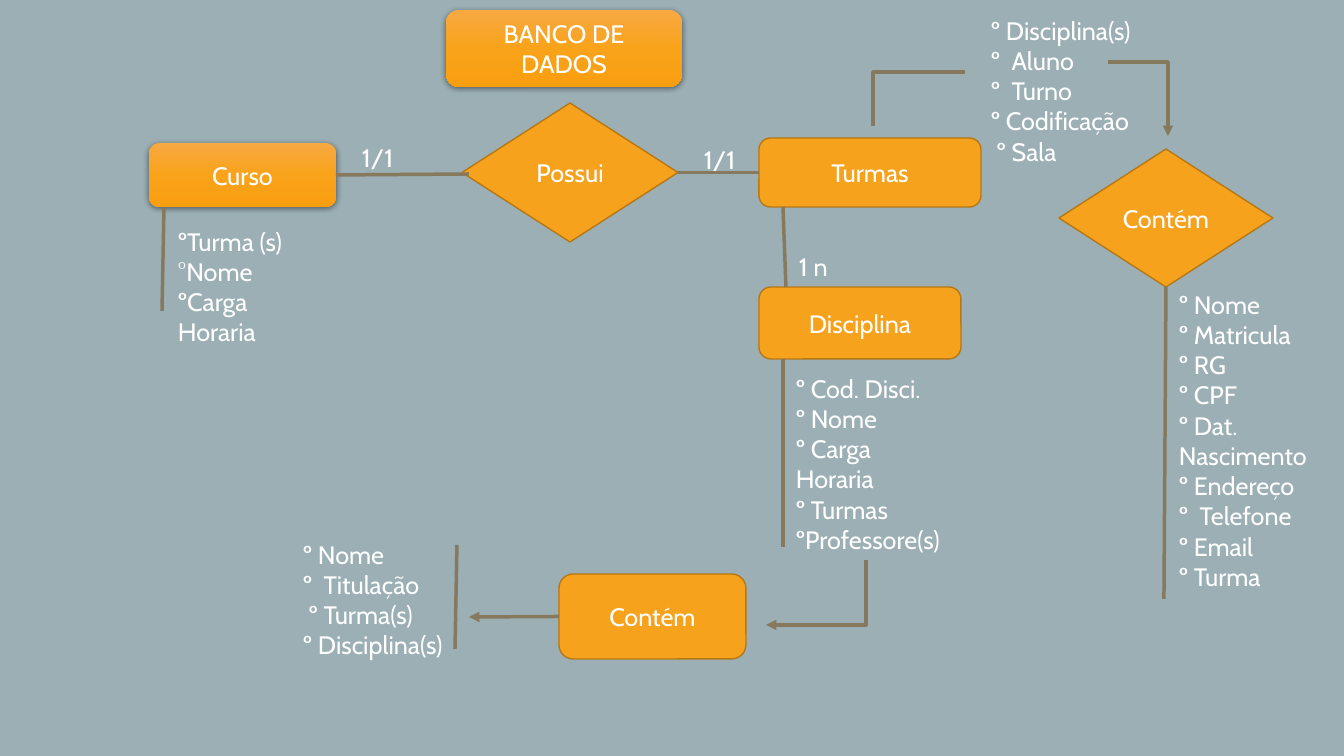
import pptx
import pptx.dml.color
import pptx.enum.shapes
import pptx.enum.text
import pptx.oxml
import pptx.oxml.ns
import pptx.util

PX = 914400 / 100.8
FONT = "Cabin"
WHITE, ORANGE, ORANGE_EDGE, BROWN = "FFFFFF", "F6A21D", "B67815", "87795D"
BACKGROUND = "9BAFB5"
GLOSS = [(0, "F7A942"), (50, "F9A31A"), (100, "F99E0F")]
RIGHT, LEFT, BOTTOM = 3, 1, 2
SHAPE = pptx.enum.shapes.MSO_SHAPE
CONNECTOR = pptx.enum.shapes.MSO_CONNECTOR


def px(*lengths):
    return [pptx.util.Emu(round(length * PX)) for length in lengths]


def color(hex_string):
    return pptx.dml.color.RGBColor.from_string(hex_string)


def xml(markup):
    tag, rest = markup.split(" ", 1)
    return pptx.oxml.parse_xml(f"{tag} {pptx.oxml.ns.nsdecls('a')} {rest}")


def write(frame, lines, align):
    """One paragraph per line; a newline inside a line is a soft break."""
    frame.word_wrap = True
    for index, line in enumerate(lines):
        paragraph = frame.paragraphs[0] if index == 0 else frame.add_paragraph()
        paragraph.alignment = align
        for part_index, part in enumerate(line.split("\n")):
            if part_index:
                paragraph.add_line_break()
            run = paragraph.add_run()
            run.text = part
            run.font.size = pptx.util.Pt(18)
            run.font.name = FONT
            run.font.color.rgb = color(WHITE)


def add_node(slide, kind, box, label):
    shape = slide.shapes.add_shape(kind, *px(*box))
    shape.shadow.inherit = False
    shape.fill.solid()
    shape.fill.fore_color.rgb = color(ORANGE)
    shape.line.color.rgb = color(ORANGE_EDGE)
    shape.line.width = pptx.util.Pt(1)
    shape.text_frame.vertical_anchor = pptx.enum.text.MSO_ANCHOR.MIDDLE
    write(shape.text_frame, [label], pptx.enum.text.PP_ALIGN.CENTER)
    return shape


def add_glossy_node(slide, box, label):
    shape = add_node(slide, SHAPE.ROUNDED_RECTANGLE, box, label)
    shape.line.fill.background()
    properties = shape._element.spPr
    stops = "".join(f'<a:gs pos="{position * 1000}"><a:srgbClr val="{tint}"/></a:gs>'
                    for position, tint in GLOSS)
    gradient = xml(f'<a:gradFill rotWithShape="1"><a:gsLst>{stops}</a:gsLst>'
                   '<a:lin ang="5400000" scaled="0"/></a:gradFill>')
    solid = properties.find(pptx.oxml.ns.qn("a:solidFill"))
    properties.replace(solid, gradient)
    properties.find(pptx.oxml.ns.qn("a:effectLst")).append(xml(
        '<a:outerShdw blurRad="55880" dist="15240" dir="5400000" rotWithShape="0">'
        '<a:srgbClr val="000000"><a:alpha val="45000"/></a:srgbClr></a:outerShdw>'))
    return shape


def add_text(slide, box, lines):
    text_box = slide.shapes.add_textbox(*px(*box))
    write(text_box.text_frame, lines, pptx.enum.text.PP_ALIGN.LEFT)
    text_box.text_frame.auto_size = pptx.enum.text.MSO_AUTO_SIZE.SHAPE_TO_FIT_TEXT


def add_line(slide, start, end, arrow=None, kind=CONNECTOR.STRAIGHT):
    """arrow is None, "headEnd" (at start) or "tailEnd" (at end)."""
    line = slide.shapes.add_connector(kind, *px(*start, *end))
    line.line.color.rgb = color(BROWN)
    line.line.width = pptx.util.Pt(2.5)
    if arrow:
        line.line._get_or_add_ln().append(xml(f'<a:{arrow} type="triangle"/>'))
    line._element.spPr.append(xml("<a:effectLst />"))
    return line


def add_corner(slide, start, end, arrow=None):
    """A single bend: horizontal from start, then vertical to end."""
    line = add_line(slide, start, end, arrow, CONNECTOR.ELBOW)
    line._element.spPr.find(pptx.oxml.ns.qn("a:prstGeom")).set("prst", "bentConnector2")


def main():
    presentation = pptx.Presentation()
    presentation.slide_width, presentation.slide_height = px(1344, 756)
    slide = presentation.slides.add_slide(presentation.slide_layouts[6])
    slide.background.fill.solid()
    slide.background.fill.fore_color.rgb = color(BACKGROUND)

    # Entities and relationships
    add_glossy_node(slide, (446, 10, 236, 77), "BANCO DE DADOS")
    course = add_glossy_node(slide, (149, 143, 187, 64), "Curso")
    classes = add_node(slide, SHAPE.ROUNDED_RECTANGLE, (759, 138, 222, 69), "Turmas")
    has = add_node(slide, SHAPE.DIAMOND, (462, 103, 216, 139), "Possui")
    add_node(slide, SHAPE.ROUNDED_RECTANGLE, (759, 287, 202, 72), "Disciplina")
    teacher = add_node(slide, SHAPE.ROUNDED_RECTANGLE, (559, 574, 187, 85), "Contém")
    student = add_node(slide, SHAPE.DIAMOND, (1059, 149, 214, 138), "Contém")

    # Attribute lists
    add_text(slide, (168, 221, 153, 132), ["ºTurma (s)", "°Nome", "ºCarga\nHoraria"])
    add_text(slide, (981, 10, 183, 163),
             ["º Disciplina(s)", "º  Aluno", "º  Turno", "º Codificação", " º Sala"])
    add_text(slide, (786, 368, 175, 194),
             ["º Cod. Disci.", "º Nome", "º Carga\nHoraria", "º Turmas", "ºProfessore(s)"])
    add_text(slide, (293, 534, 206, 132),
             ["º Nome", "º  Titulação", " º Turma(s)", "º Disciplina(s)"])
    add_text(slide, (1169, 284, 190, 316),
             ["º Nome", "º Matricula", "º RG", "º CPF", "º Dat.\nNascimento",
              "º Endereço", "º  Telefone", "º Email", "º Turma"])

    # Cardinalities
    for left, top, label in [(352, 137, "1/1"), (694, 139, "1/1"), (789, 246, "1 n")]:
        add_text(slide, (left, top, 101, 40), [label])

    # Bars beside the attribute lists
    add_line(slide, (164, 208), (162, 311))
    add_line(slide, (783, 359), (783, 547))
    add_line(slide, (457, 545), (455, 649))
    add_line(slide, (1165, 287), (1164, 599)).begin_connect(student, BOTTOM)

    # Links between entities
    add_line(slide, (336, 175), (469, 174)).begin_connect(course, RIGHT)
    has_to_classes = add_line(slide, (678, 172), (759, 172))
    has_to_classes.begin_connect(has, RIGHT)
    has_to_classes.end_connect(classes, LEFT)
    add_line(slide, (783, 207), (786, 287))
    add_line(slide, (559, 617), (469, 617), "tailEnd").begin_connect(teacher, LEFT)
    add_corner(slide, (965, 72), (873, 126))
    add_corner(slide, (1108, 62), (1168, 136), "tailEnd")
    add_corner(slide, (766, 625), (866, 560), "headEnd")

    presentation.save("out.pptx")


if __name__ == "__main__":
    main()
